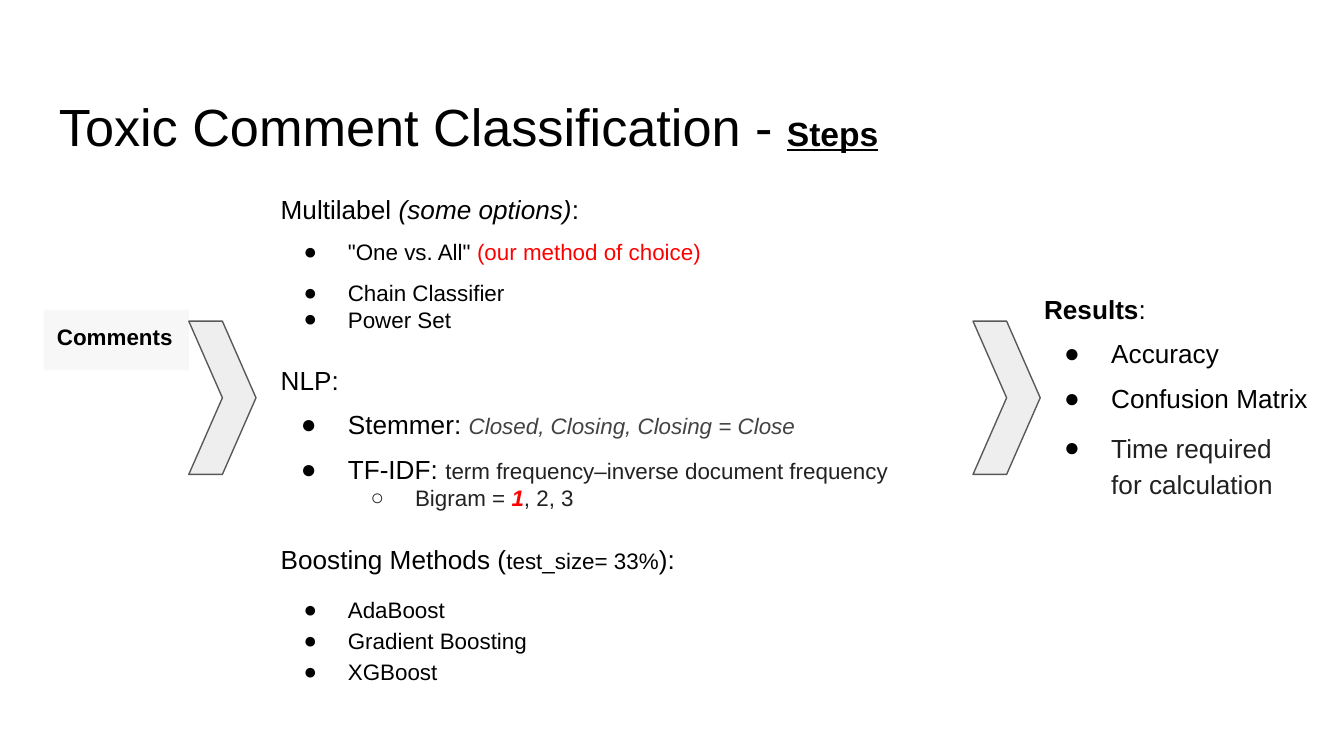
"""Build the toxic comment classification steps slide."""
from dataclasses import dataclass
from typing import Optional

from lxml import etree
from pptx import Presentation
from pptx.dml.color import RGBColor
from pptx.enum.shapes import MSO_SHAPE
from pptx.enum.text import MSO_ANCHOR, PP_ALIGN
from pptx.oxml.ns import qn
from pptx.util import Emu, Pt

SCALE = 4572
INSET = Emu(20 * SCALE)
FONT = "Arial"
RECTANGLE, CHEVRON = MSO_SHAPE.RECTANGLE, MSO_SHAPE.CHEVRON
TOP = MSO_ANCHOR.TOP
LEFT = PP_ALIGN.LEFT
BLACK = RGBColor(0x00, 0x00, 0x00)
RED = RGBColor(0xFF, 0x00, 0x00)
DARK = RGBColor(0x22, 0x22, 0x22)
CHARCOAL = RGBColor(0x21, 0x21, 0x21)
GREY = RGBColor(0x43, 0x43, 0x43)
OUTLINE = RGBColor(0x59, 0x59, 0x59)
CHEVRON_FILL = RGBColor(0xEE, 0xEE, 0xEE)
LABEL_FILL = RGBColor(0xEF, 0xEF, 0xEF)


@dataclass(frozen=True)
class Box:
    left: int
    top: int
    width: int
    height: int

    def emu(self) -> list[Emu]:
        return [Emu(v * SCALE) for v in (self.left, self.top, self.width, self.height)]


@dataclass(frozen=True)
class Span:
    text: str
    size: Optional[int] = None
    color: Optional[RGBColor] = None
    bold: Optional[bool] = None
    italic: Optional[bool] = None
    underline: Optional[bool] = None


@dataclass(frozen=True)
class Bullet:
    char: str
    margin: int
    hang: int
    color: RGBColor = BLACK
    level: int = 0


@dataclass(frozen=True)
class Line:
    spans: tuple[Span, ...]
    size: int = 14
    bullet: Optional[Bullet] = None
    before: float = 0
    after: float = 0
    spacing: float = 1.0
    color: RGBColor = BLACK


SMALL_DOT = Bullet("●", 100, 66)
LARGE_DOT = Bullet("●", 100, 70)
CIRCLE = Bullet("○", 200, 66, DARK, 1)

TITLE = [Line((Span("Toxic Comment Classification - "),
               Span("Steps", 18, bold=True, underline=True)), 28, after=6, spacing=1.25)]
LABEL = [Line((Span("Comments", bold=True),), 12)]
METHODS = [
    Line((Span("Multilabel "), Span("(some options)", italic=True), Span(":"))),
    Line((Span('"One vs. All" '), Span("(our method of choice)", color=RED)),
         12, SMALL_DOT, 7),
    Line((Span("Chain Classifier"),), 12, SMALL_DOT, 7.5),
    Line((Span("Power Set"),), 12, SMALL_DOT),
    Line((Span("NLP:"),), before=17),
    Line((Span("Stemmer: "),
          Span("Closed, Closing, Closing = Close", 12, GREY, italic=True)),
         bullet=LARGE_DOT, before=7),
    Line((Span("TF-IDF: "), Span("term frequency–inverse document frequency", 12, DARK)),
         bullet=LARGE_DOT, before=7),
    Line((Span("Bigram = "), Span("1", color=RED, bold=True, italic=True), Span(", 2, 3")),
         12, CIRCLE, color=DARK),
    Line((Span("Boosting Methods ("), Span("test_size= 33%", 12), Span("):")), before=17),
    Line((Span("AdaBoost"),), 12, SMALL_DOT, 9.5, spacing=1.15),
    Line((Span("Gradient Boosting"),), 12, SMALL_DOT, spacing=1.15),
    Line((Span("XGBoost"),), 12, SMALL_DOT, spacing=1.15),
]
RESULTS = [
    Line((Span("Results", bold=True), Span(":"))),
    Line((Span("Accuracy"),), bullet=LARGE_DOT, before=7),
    Line((Span("Confusion Matrix"),), bullet=LARGE_DOT, before=7.5),
    Line((Span("Time required for calculation"),), bullet=LARGE_DOT, before=7,
         spacing=1.15, color=CHARCOAL),
]


def add_bullet(para, bullet: Bullet) -> None:
    para.level = bullet.level
    properties = para._p.get_or_add_pPr()
    properties.set("marL", str(bullet.margin * SCALE))
    properties.set("indent", str(-bullet.hang * SCALE))
    color = etree.SubElement(properties, qn("a:buClr"))
    etree.SubElement(color, qn("a:srgbClr"), val=str(bullet.color))
    etree.SubElement(properties, qn("a:buFont"), typeface=FONT)
    etree.SubElement(properties, qn("a:buChar"), char=bullet.char)


def write_lines(frame, lines: list[Line]) -> None:
    frame.word_wrap = True
    frame.vertical_anchor = TOP
    frame.margin_left = frame.margin_right = INSET
    frame.margin_top = frame.margin_bottom = INSET
    for index, line in enumerate(lines):
        para = frame.add_paragraph() if index else frame.paragraphs[0]
        if line.bullet:
            add_bullet(para, line.bullet)
        para.alignment = LEFT
        para.line_spacing = line.spacing
        para.space_before, para.space_after = Pt(line.before), Pt(line.after)
        para.font.name = FONT
        para.font.size = Pt(line.size)
        para.font.color.rgb = line.color
        for span in line.spans:
            run = para.add_run()
            run.text = span.text
            run.font.bold, run.font.italic = span.bold, span.italic
            run.font.underline = span.underline
            if span.size:
                run.font.size = Pt(span.size)
            if span.color is not None:
                run.font.color.rgb = span.color


def add_text(page, box: Box, lines: list[Line]) -> None:
    write_lines(page.shapes.add_textbox(*box.emu()).text_frame, lines)


def add_shape(page, preset, box: Box, fill: RGBColor):
    shape = page.shapes.add_shape(preset, *box.emu())
    shape.shadow.inherit = False
    shape.fill.solid()
    shape.fill.fore_color.rgb = fill
    return shape


def add_label(page, box: Box, lines: list[Line]) -> None:
    label = add_shape(page, RECTANGLE, box, LABEL_FILL)
    label.line.fill.background()
    color = label._element.spPr.find(qn("a:solidFill")).find(qn("a:srgbClr"))
    etree.SubElement(color, qn("a:alpha"), val="48000")
    write_lines(label.text_frame, lines)


def add_chevron(page, left: int) -> None:
    chevron = add_shape(page, CHEVRON, Box(left, 478, 100, 228), CHEVRON_FILL)
    chevron.adjustments[0] = 0.5
    chevron.line.color.rgb = OUTLINE
    chevron.line.width = Pt(0.75)


def main() -> None:
    deck = Presentation()
    deck.slide_width, deck.slide_height = Emu(2000 * SCALE), Emu(1125 * SCALE)
    page = deck.slides.add_slide(deck.slide_layouts[6])
    add_text(page, Box(68, 97, 1864, 126), TITLE)
    add_label(page, Box(65, 461, 216, 90), LABEL)
    add_chevron(page, 281)
    add_text(page, Box(398, 268, 1052, 806), METHODS)
    add_text(page, Box(1534, 416, 434, 344), RESULTS)
    add_chevron(page, 1448)
    deck.save("out.pptx")


if __name__ == "__main__":
    main()
